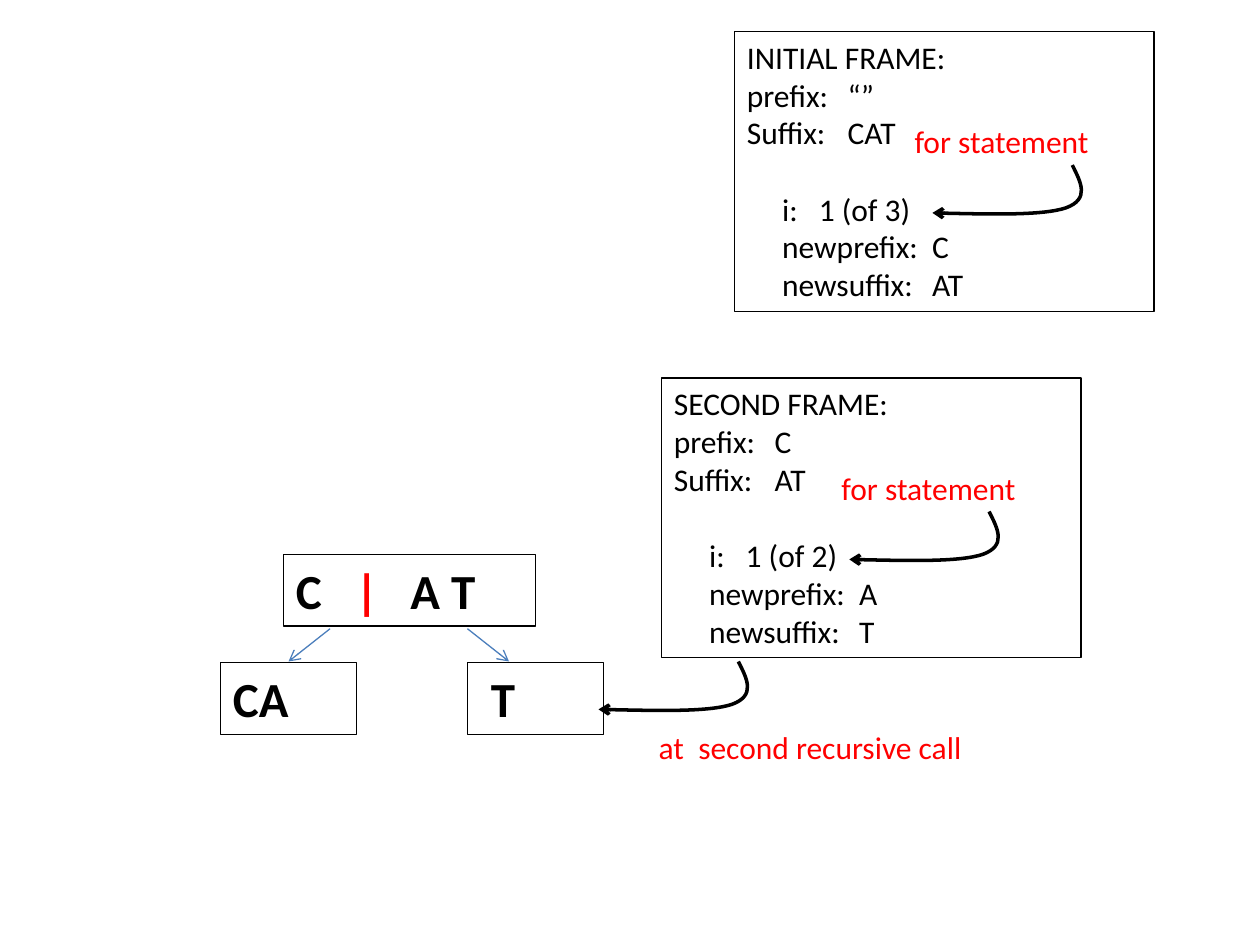
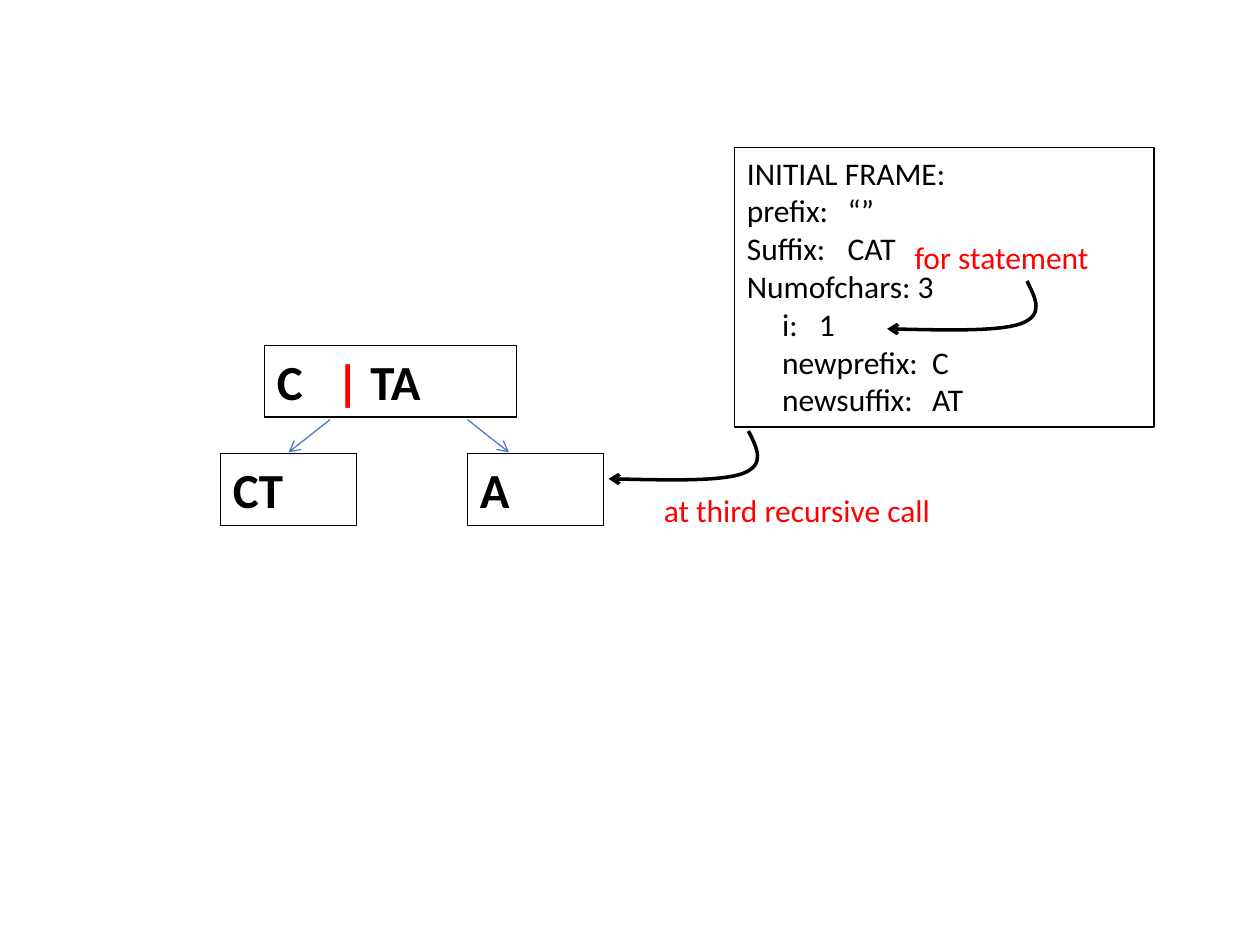
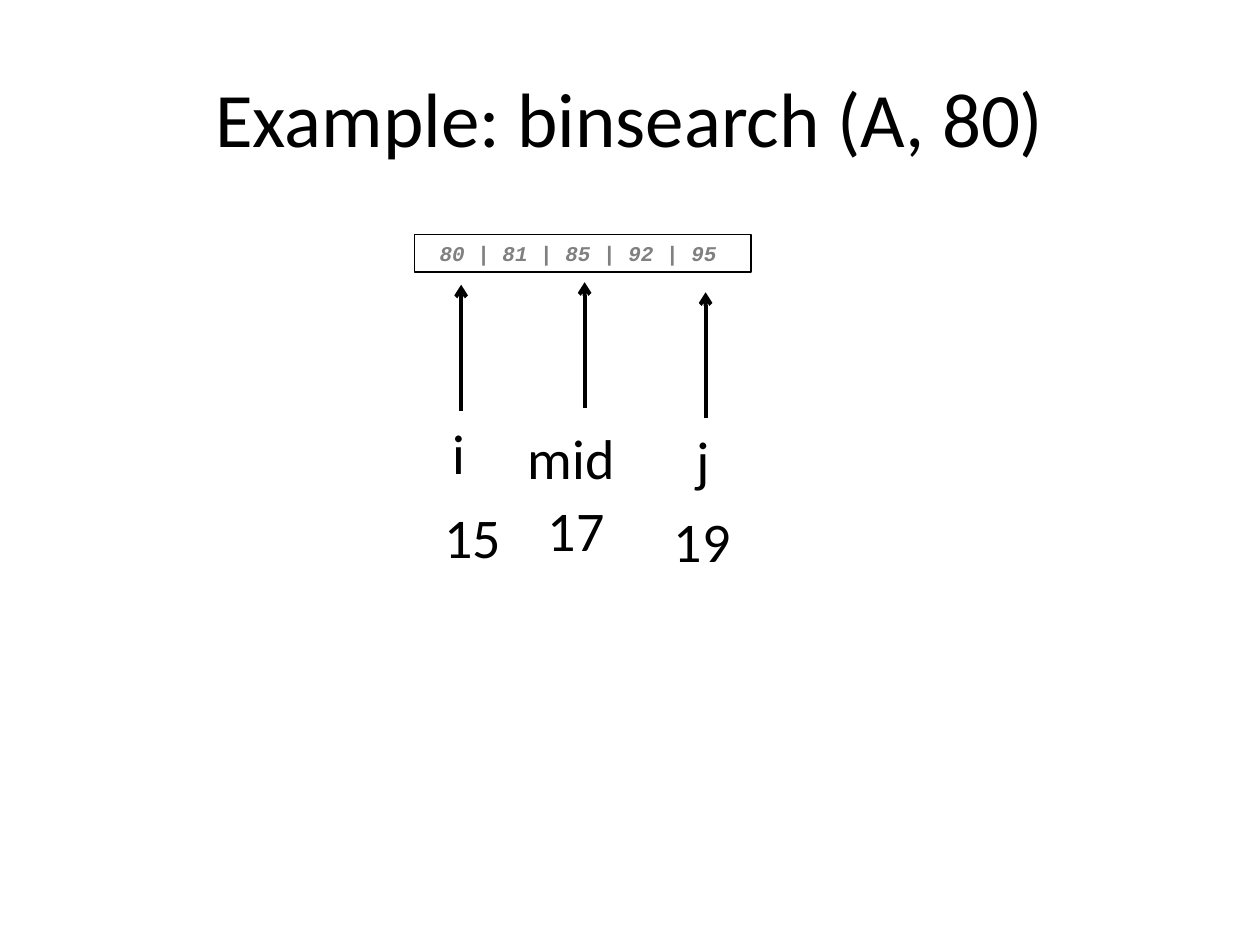
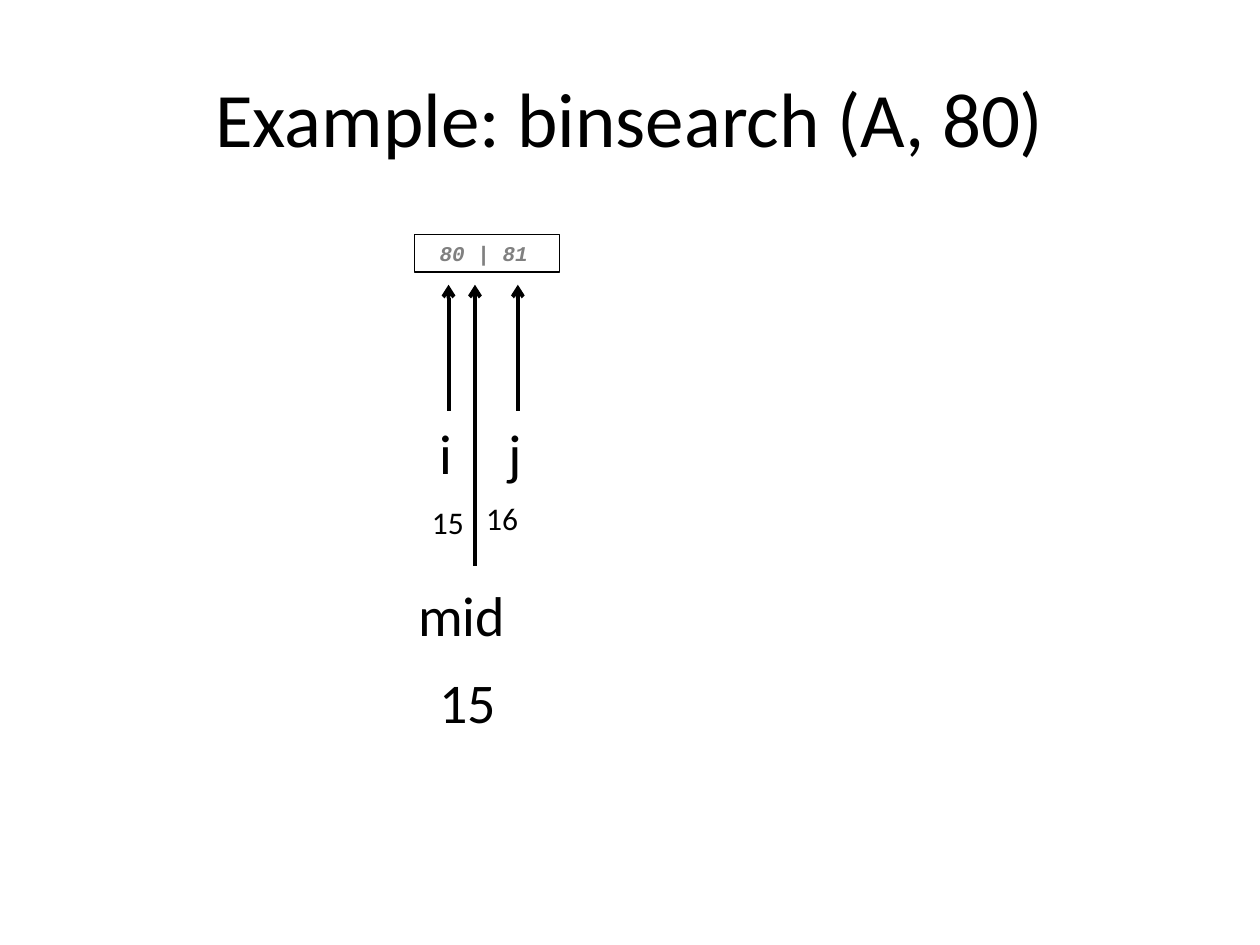
from lxml.etree import SubElement
from pptx import Presentation
from pptx.dml.color import RGBColor
from pptx.enum.shapes import MSO_CONNECTOR, MSO_SHAPE
from pptx.enum.text import MSO_ANCHOR, MSO_AUTO_SIZE, PP_ALIGN
from pptx.oxml.ns import qn
from pptx.util import Emu, Inches, Pt

BLACK = RGBColor(0x00, 0x00, 0x00)
WHITE = RGBColor(0xFF, 0xFF, 0xFF)
RED = RGBColor(0xFF, 0x00, 0x00)
BLUE = RGBColor(0x4B, 0x7E, 0xBC)
GRAY = RGBColor(0x80, 0x80, 0x80)
BODY_FONT = "Calibri"
CODE_FONT = "Courier New"

# The slide is a grid of 10 columns and 7.5 rows of square cells.
CELL = Inches(1)
COLUMNS, ROWS = 10, 7.5
TITLE_ONLY, BLANK = 5, 6

# Tab stops of the frame rows, in cells from the text edge.
FIELD = (0.8,)
COUNTER = (0.28, 0.57)
NESTED = (0.28, 1.47)
BAR_STOPS = (0.47, 0.91)
SKIPPED_LINE = 22

# Start of the hooked arrow, then two cubic curves, in cells.
HOOK_START = (1.11, 0)
HOOK_CURVES = [(1.18, 0.14), (1.25, 0.27), (1.06, 0.34),
               (0.88, 0.4), (0.44, 0.39), (0, 0.38)]
HOOK_SIZE = (1.18, 0.38)


def cells(*counts):
    return [Emu(round(count * CELL)) for count in counts]


def add_tabs(paragraph, stops):
    if stops:
        tabs = SubElement(paragraph._p.get_or_add_pPr(), qn("a:tabLst"))
        for stop in cells(*stops):
            SubElement(tabs, qn("a:tab"), pos=str(stop), algn="l")


def set_font(paragraph, size, color=BLACK, name=BODY_FONT, strong=False, slanted=False):
    font = paragraph.font
    font.name, font.size = name, Pt(size)
    font.bold, font.italic = strong, slanted
    font.color.rgb = color


def style_line(shape, color, width, arrow=False):
    shape.line.color.rgb = color
    shape.line.width = Pt(width)
    if arrow:
        SubElement(shape.line._get_or_add_ln(), qn("a:tailEnd"), type="arrow")


def fit_text(shape):
    frame = shape.text_frame
    frame.word_wrap = True
    frame.auto_size = MSO_AUTO_SIZE.SHAPE_TO_FIT_TEXT
    return frame


def add_box(page, left, top, width, height, fill=None):
    """Add a thin-lined rectangle and return its text frame."""
    box = page.shapes.add_shape(MSO_SHAPE.RECTANGLE, *cells(left, top, width, height))
    box.shadow.inherit = False
    if fill is None:
        box.fill.background()
    else:
        box.fill.solid()
        box.fill.fore_color.rgb = fill
    style_line(box, BLACK, 0.75)
    frame = fit_text(box)
    frame.vertical_anchor = MSO_ANCHOR.TOP
    frame.paragraphs[0].alignment = PP_ALIGN.LEFT
    return frame


def add_label(page, text, left, top, width, size=18, color=BLACK):
    height = 0.64 if size > 18 else 0.4
    label = page.shapes.add_textbox(*cells(left, top, width, height))
    paragraph = fit_text(label).paragraphs[0]
    paragraph.text = text
    set_font(paragraph, size, color)


def add_arrow(page, start, end, color, width):
    arrow = page.shapes.add_connector(MSO_CONNECTOR.STRAIGHT, *cells(*start, *end))
    style_line(arrow, color, width, arrow=True)
    SubElement(arrow._element.spPr, qn("a:effectLst"))


def add_hook(page, left, top):
    """Add the curved arrow that bends down and points left."""
    builder = page.shapes.build_freeform(*cells(*HOOK_START))
    builder.add_line_segments([cells(*point) for point in HOOK_CURVES], close=False)
    hook = builder.convert_to_shape(*cells(left, top))
    hook.width, hook.height = cells(*HOOK_SIZE)
    outline = hook._element.find(".//" + qn("a:path"))
    outline.set("w", str(hook.width))
    outline.set("h", str(hook.height))
    segments = outline.findall(qn("a:lnTo"))
    for first in range(0, len(segments), 3):
        curve = SubElement(outline, qn("a:cubicBezTo"))
        for segment in segments[first:first + 3]:
            curve.append(segment[0])
            outline.remove(segment)
    hook.shadow.inherit = False
    hook.fill.background()
    style_line(hook, BLACK, 2, arrow=True)


def add_frame(page, left, top, rows, hook_shift):
    """Add a call frame; each row is its text, tab stops and space before."""
    frame = add_box(page, left, top, 3.33, 2.22)
    for number, (text, stops, space) in enumerate(rows):
        paragraph = frame.add_paragraph() if number else frame.paragraphs[0]
        paragraph.alignment = PP_ALIGN.LEFT
        paragraph.add_run().text = text
        if space:
            paragraph.space_before = Pt(space)
        add_tabs(paragraph, stops)
        set_font(paragraph, 18)
    add_label(page, "for statement", left + 1.33, top + 0.67, 1.75, color=RED)
    add_hook(page, left + hook_shift, top + 1.06)


def frame_rows(title, prefix, suffix, counter, new_prefix, new_suffix, length=None):
    rows = [(title, (), 0), (f"prefix:\t{prefix}", FIELD, 0),
            (f"Suffix:\t{suffix}", FIELD, 0)]
    if length:
        rows.append((f"Numofchars: {length}", (), 0))
    return rows + [(f"\ti:\t{counter}", COUNTER, 0 if length else SKIPPED_LINE),
                   (f"\tnewprefix:\t{new_prefix}", NESTED, 0),
                   (f"\tnewsuffix:\t{new_suffix}", NESTED, 0)]


def add_split(page, left, top, before, after, leaves):
    """Add a word cut by a red bar, with arrows to its two results."""
    paragraph = add_box(page, left, top, 2, 0.57).paragraphs[0]
    for text in (before, "|", after):
        span = paragraph.add_run()
        span.text = text
        if text == "|":
            span.font.color.rgb = RED
    add_tabs(paragraph, BAR_STOPS)
    set_font(paragraph, 28, strong=True)
    for start, end in ((2.62, 2.29), (3.71, 4.04)):
        add_arrow(page, (start, top + 0.59), (end, top + 0.85), BLUE, 0.75)
    for leaf, leaf_left in zip(leaves, (1.75, 3.71)):
        paragraph = add_box(page, leaf_left, top + 0.86, 1.08, 0.57).paragraphs[0]
        paragraph.text = leaf
        set_font(paragraph, 28, strong=True)


def add_search_page(deck, numbers, width):
    """Add a titled page with the part of the array still searched."""
    page = deck.slides.add_slide(deck.slide_layouts[TITLE_ONLY])
    title = page.shapes.title
    title.left, title.top, title.width, title.height = cells(0.5, 0.3, 9, 1.25)
    title.text_frame.vertical_anchor = MSO_ANCHOR.MIDDLE
    paragraph = title.text_frame.paragraphs[0]
    paragraph.text = "Example: binsearch (A, 80)"
    paragraph.alignment = PP_ALIGN.CENTER
    set_font(paragraph, 44)
    array = add_box(page, 3.29, 1.86, width, 0.3, WHITE)
    array.vertical_anchor = MSO_ANCHOR.MIDDLE
    paragraph = array.paragraphs[0]
    paragraph.text = " " + " | ".join(str(number) for number in numbers)
    set_font(paragraph, 12, GRAY, CODE_FONT, strong=True, slanted=True)
    return page


def add_pointer(page, name, center, tip, tail, value, value_left, value_top, value_size=32):
    add_arrow(page, (center, tail), (center, tip), BLACK, 2.25)
    if name == "mid":
        add_label(page, name, center - 0.55, tail + 0.07, 1.08, 32)
    else:
        add_label(page, name, center - 0.17, tail + 0.01, 0.5, 32)
    add_label(page, value, value_left, value_top, 0.67, value_size)


def add_second_call(deck):
    page = deck.slides.add_slide(deck.slide_layouts[BLANK])
    add_split(page, 2.25, 4.4, "C\t", "\tA T", ("CA", " T"))
    add_frame(page, 5.83, 0.25,
              frame_rows("INITIAL FRAME:", "“”", "CAT", "1 (of 3)", "C", "AT"), 1.57)
    add_hook(page, 4.75, 5.25)
    add_label(page, "at  second recursive call", 5.13, 5.73, 2.67, color=RED)
    add_frame(page, 5.25, 3,
              frame_rows("SECOND FRAME:", "C", "AT", "1 (of 2)", "A", "T"), 1.49)


def add_third_call(deck):
    page = deck.slides.add_slide(deck.slide_layouts[BLANK])
    add_split(page, 2.1, 2.74, "C\t", " TA", ("CT", "A"))
    add_frame(page, 5.83, 1.17,
              frame_rows("INITIAL FRAME:", "“”", "CAT", "1", "C", "AT", length=3), 1.21)
    add_hook(page, 4.83, 3.42)
    add_label(page, "at third recursive call", 5.17, 3.85, 2.67, color=RED)


def add_search_steps(deck):
    page = add_search_page(deck, (80, 81, 85, 92, 95), 2.67)
    add_pointer(page, "i", 3.66, 2.26, 3.26, "15", 3.43, 3.94)
    add_pointer(page, "j", 5.6, 2.32, 3.32, "19", 5.25, 3.97)
    add_pointer(page, "mid", 4.64, 2.24, 3.24, "17", 4.25, 3.88)

    page = add_search_page(deck, (80, 81), 1.15)
    add_pointer(page, "i", 3.56, 2.26, 3.26, "15", 3.33, 3.94, 18)
    add_pointer(page, "j", 4.11, 2.26, 3.26, "16", 3.76, 3.91, 18)
    add_pointer(page, "mid", 3.77, 2.26, 4.49, "15", 3.39, 5.25)


def main():
    deck = Presentation()
    deck.slide_width, deck.slide_height = cells(COLUMNS, ROWS)
    add_second_call(deck)
    add_third_call(deck)
    add_search_steps(deck)
    deck.save("out.pptx")


if __name__ == "__main__":
    main()
